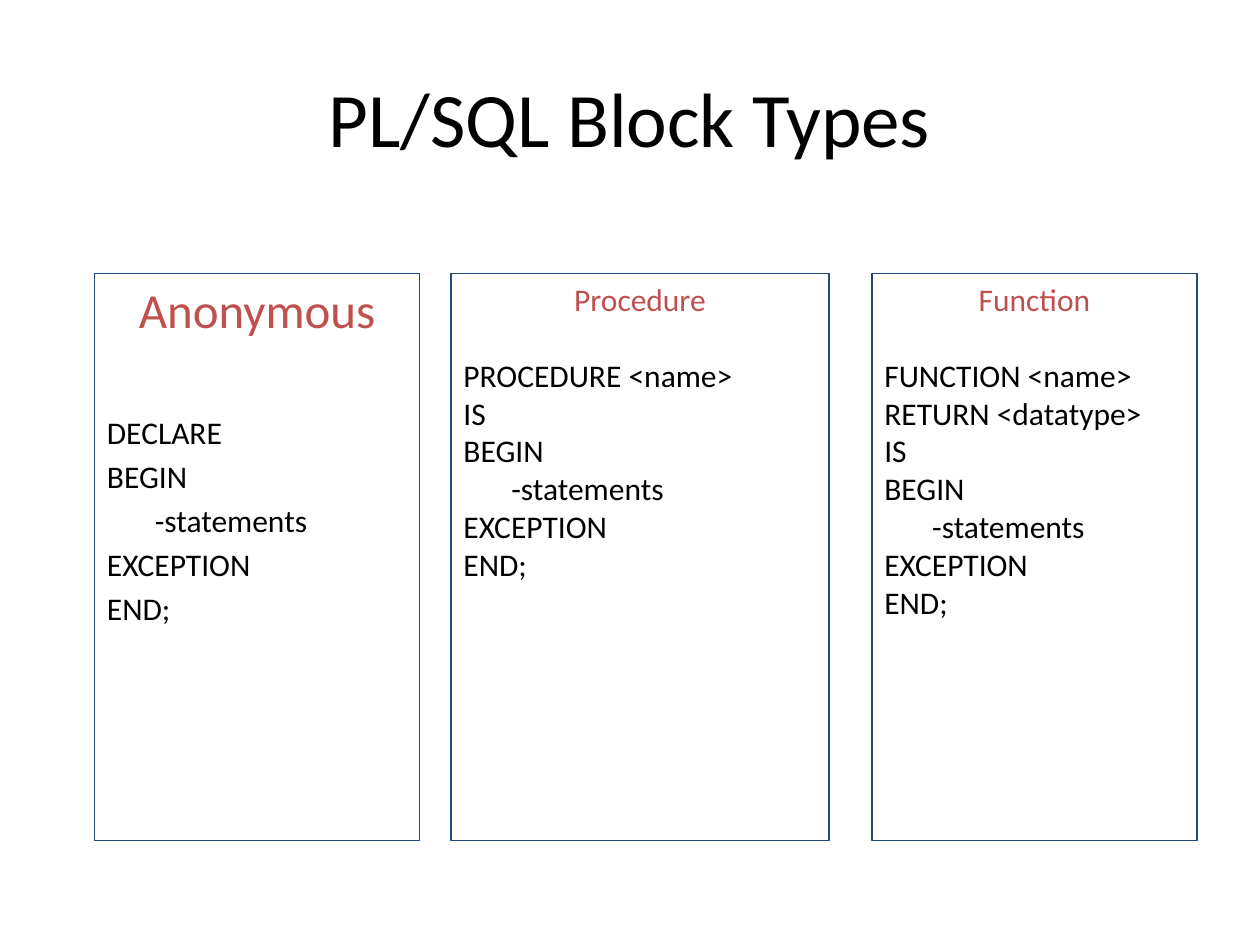
import pptx
import pptx.util
import pptx.dml.color
import pptx.enum.shapes
import pptx.enum.text

Inches = pptx.util.Inches
Pt = pptx.util.Pt
RGBColor = pptx.dml.color.RGBColor
Align = pptx.enum.text.PP_ALIGN
Anchor = pptx.enum.text.MSO_ANCHOR

BLACK = RGBColor(0x00, 0x00, 0x00)
RED = RGBColor(0xC0, 0x50, 0x4D)
NAVY = RGBColor(0x1F, 0x49, 0x7D)


class SlideBuilder:
    font = "Calibri"
    code_size = 18
    code_indent = 0.38

    def __init__(self, slide):
        self.slide = slide

    def fill_para(self, para, text, size, color, align=Align.LEFT):
        para.text = text
        para.alignment = align
        for span in para.runs:
            span.font.name = self.font
            span.font.size = Pt(size)
            span.font.color.rgb = color

    def title(self, text, left, top, width, height):
        box = self.slide.shapes.add_textbox(
            Inches(left), Inches(top), Inches(width), Inches(height))
        frame = box.text_frame
        frame.word_wrap = True
        frame.vertical_anchor = Anchor.MIDDLE
        self.fill_para(frame.paragraphs[0], text, 44, BLACK, Align.CENTER)

    def code_panel(self, left, top, width, height, heading, lines,
                   heading_size=18, heading_gap=22, line_gap=0):
        panel = self.slide.shapes.add_shape(
            pptx.enum.shapes.MSO_SHAPE.RECTANGLE,
            Inches(left), Inches(top), Inches(width), Inches(height))
        panel.shadow.inherit = False
        panel.fill.background()
        panel.line.color.rgb = NAVY
        panel.line.width = Pt(0.75)
        frame = panel.text_frame
        frame.word_wrap = True
        frame.vertical_anchor = Anchor.TOP
        para = frame.paragraphs[0]
        self.fill_para(para, heading, heading_size, RED, Align.CENTER)
        para.space_after = Pt(heading_gap)
        for line in lines:
            para = frame.add_paragraph()
            self.fill_para(para, line, self.code_size, BLACK)
            para.space_before = Pt(line_gap)
            if line.startswith("-"):
                properties = para._p.get_or_add_pPr()
                properties.set("marL", str(Inches(self.code_indent)))


deck = pptx.Presentation()
deck.slide_width = Inches(10)
deck.slide_height = Inches(7.5)
page = SlideBuilder(deck.slides.add_slide(deck.slide_layouts[6]))

page.title("PL/SQL Block Types", 0.5, 0.3, 9, 1.25)

BODY = ["BEGIN", "-statements", "EXCEPTION", "END;"]
PANEL_TOP, PANEL_HEIGHT = 2.17, 4.5

page.code_panel(0.75, PANEL_TOP, 2.58, PANEL_HEIGHT, "Anonymous",
                ["DECLARE"] + BODY,
                heading_size=28, heading_gap=39, line_gap=3.6)
page.code_panel(3.58, PANEL_TOP, 3, PANEL_HEIGHT, "Procedure",
                ["PROCEDURE <name>", "IS"] + BODY)
page.code_panel(6.92, PANEL_TOP, 2.58, PANEL_HEIGHT, "Function",
                ["FUNCTION <name>", "RETURN <datatype>", "IS"] + BODY)

deck.save("out.pptx")
